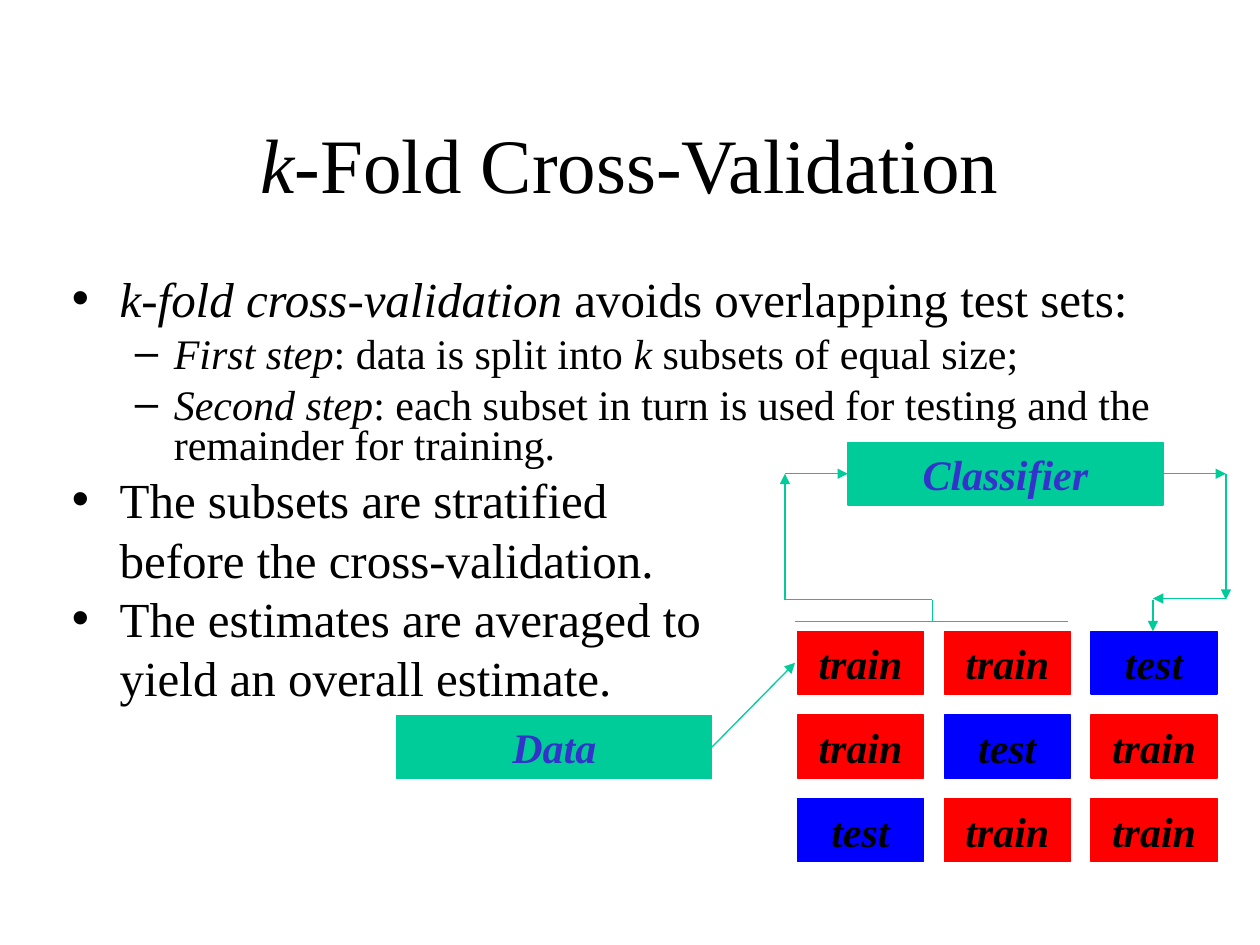
from lxml import etree
from pptx import Presentation, util as u
from pptx.dml.color import RGBColor
from pptx.enum import shapes, text
from pptx.oxml.ns import qn

# Content: *stars* enclose italic words
TITLE = "*k*-Fold Cross-Validation"
# (level, has bullet, text)
BODY = [
    (0, True, "*k-fold cross-validation* avoids overlapping test sets:"),
    (1, True, "*First step*: data is split into *k* subsets of equal size;"),
    (1, True, "*Second step*: each subset in turn is used for testing "
              "and the remainder for training."),
    (0, True, "The subsets are stratified"),
    (0, False, "before the cross-validation."),
    (0, True, "The estimates are averaged to"),
    (0, False, "yield an overall estimate."),
]
FOLDS = 3
LABELS = [("Classifier", 6.73, 3.51), ("Data", 3.15, 5.68)]

COLORS = {"text": "000000", "label": "3333CC", "flow": "00CC99",
          "train": "FF0000", "test": "0000FF"}
FONT = "Times New Roman"
# level: size, left margin, hanging indent, space before
LEVELS = {0: (28, 0.38, 0.38, 7), 1: (24, 0.81, 0.31, 6)}

# Geometry in inches
LABEL_W, FOLD_W, BOX_H = 2.5, 1, 0.5
GRID_X, GRID_Y, GRID_RIGHT, GRID_BOTTOM = 6.33, 5.01, 9.66, 6.84
PITCH_X = (GRID_RIGHT - FOLD_W - GRID_X) / (FOLDS - 1)
PITCH_Y = (GRID_BOTTOM - BOX_H - GRID_Y) / (FOLDS - 1)
LOOP_L, LOOP_R, LOOP_TOP, LOOP_BOTTOM = 6.23, 9.73, 3.76, 4.76
BRACE_Y, BRACE_MID, TEST_X = 4.93, 7.4, 9.15

# (from x, from y, to x, to y, arrowhead at the end)
LINES = [
    (5.65, 5.93, 6.31, 5.26, True),
    # training folds to classifier
    (LOOP_L, LOOP_BOTTOM, LOOP_L, LOOP_TOP, True),
    (LOOP_L, LOOP_TOP, 6.73, LOOP_TOP, True),
    (6.31, BRACE_Y, 8.48, BRACE_Y, False),
    (LOOP_L, LOOP_BOTTOM, BRACE_MID, LOOP_BOTTOM, False),
    (BRACE_MID, LOOP_BOTTOM, BRACE_MID, BRACE_Y, False),
    # classifier to test fold
    (9.23, LOOP_TOP, LOOP_R, LOOP_TOP, True),
    (LOOP_R, LOOP_TOP, LOOP_R, LOOP_BOTTOM, True),
    (LOOP_R, 4.75, TEST_X, 4.75, True),
    (TEST_X, LOOP_BOTTOM, TEST_X, GRID_Y, True),
]


def rgb(name):
    return RGBColor.from_string(COLORS[name])


def add_runs(p, marked, size, color="text", bold=False):
    for i, part in enumerate(marked.split("*")):
        if not part:
            continue
        r = p.add_run()
        r.text = part
        fmt = {"name": FONT, "size": u.Pt(size), "bold": bold,
               "italic": i % 2 == 1}
        for key, value in fmt.items():
            setattr(r.font, key, value)
        r.font.color.rgb = rgb(color)


def place(sp, left, top, width, height):
    box = {"left": left, "top": top, "width": width, "height": height}
    for key, value in box.items():
        setattr(sp, key, u.Inches(value))


def add_box(s, label, left, top, width, fill, color):
    sp = s.shapes.add_shape(shapes.MSO_SHAPE.RECTANGLE, u.Inches(left),
                            u.Inches(top), u.Inches(width), u.Inches(BOX_H))
    sp.shadow.inherit = False
    sp.fill.solid()
    sp.fill.fore_color.rgb = sp.line.color.rgb = rgb(fill)
    sp.line.width = u.Pt(0.75)
    tf = sp.text_frame
    tf.word_wrap = True
    tf.vertical_anchor = text.MSO_ANCHOR.MIDDLE
    p = tf.paragraphs[0]
    p.alignment = text.PP_ALIGN.CENTER
    add_runs(p, f"*{label}*", 24, color, bold=True)


def add_line(s, x1, y1, x2, y2, arrow):
    ln = s.shapes.add_connector(shapes.MSO_CONNECTOR.STRAIGHT,
                                *map(u.Inches, (x1, y1, x2, y2)))
    ln.line.color.rgb = rgb("flow")
    ln.line.width = u.Pt(0.75)
    sp_pr = ln._element.spPr
    if arrow:
        etree.SubElement(sp_pr.find(qn("a:ln")), qn("a:tailEnd"), type="triangle")
    etree.SubElement(sp_pr, qn("a:effectLst"))


def main():
    prs = Presentation()
    prs.slide_width, prs.slide_height = u.Inches(10), u.Inches(7.5)
    s = prs.slides.add_slide(prs.slide_layouts[1])
    title, body = s.placeholders

    # Title
    place(title, 0.75, 0.67, 8.5, 1.25)
    tf = title.text_frame
    tf.auto_size = text.MSO_AUTO_SIZE.NONE
    tf.vertical_anchor = text.MSO_ANCHOR.MIDDLE
    tf.paragraphs[0].alignment = text.PP_ALIGN.CENTER
    add_runs(tf.paragraphs[0], TITLE, 44)

    # Bullet list
    place(body, 0.47, 2.17, 9.25, 4.5)
    tf = body.text_frame
    tf.auto_size = text.MSO_AUTO_SIZE.NONE
    for i, (level, bullet, line) in enumerate(BODY):
        p = tf.add_paragraph() if i else tf.paragraphs[0]
        size, margin, hang, before = LEVELS[level]
        fmt = {"level": level, "line_spacing": 0.8, "space_before": u.Pt(before)}
        for key, value in fmt.items():
            setattr(p, key, value)
        p_pr = p._p.get_or_add_pPr()
        p_pr.set("marL", str(u.Inches(margin)))
        p_pr.set("indent", str(-u.Inches(hang) if bullet else 0))
        if not bullet:
            etree.SubElement(p_pr, qn("a:buNone"))
        add_runs(p, line, size)

    # Classifier and data boxes
    for label, left, top in LABELS:
        add_box(s, label, left, top, LABEL_W, "flow", "label")

    # Folds: the test fold moves one column left in each row
    for row in range(FOLDS):
        for col in range(FOLDS):
            kind = "test" if row + col == FOLDS - 1 else "train"
            add_box(s, kind, GRID_X + col * PITCH_X, GRID_Y + row * PITCH_Y,
                    FOLD_W, kind, "text")

    # Flow lines
    for line in LINES:
        add_line(s, *line)

    prs.save("out.pptx")


if __name__ == "__main__":
    main()
